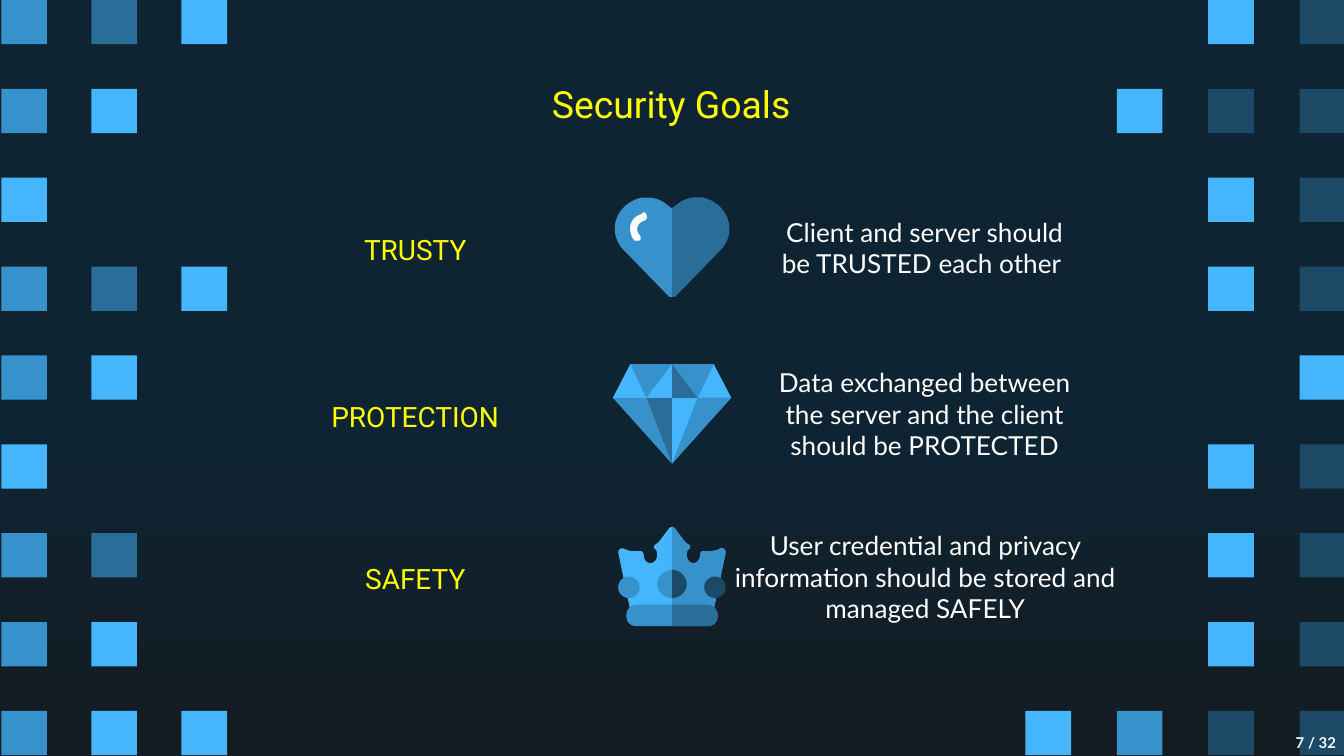
from pptx import Presentation
from pptx.dml.color import RGBColor
from pptx.enum.shapes import MSO_SHAPE as SHAPE
from pptx.enum.text import MSO_ANCHOR as ANCHOR, PP_ALIGN as ALIGN
from pptx.util import Inches, Pt

NAVY = RGBColor(0x0E, 0x24, 0x33)
BLACK = RGBColor(0x14, 0x1C, 0x21)
LIGHT = RGBColor(0x45, 0xB6, 0xFE)
MID = RGBColor(0x37, 0x92, 0xCB)
DEEP = RGBColor(0x29, 0x6D, 0x98)
DARK = RGBColor(0x1C, 0x49, 0x66)
YELLOW = RGBColor(0xFF, 0xFF, 0x00)
WHITE = RGBColor(0xFF, 0xFF, 0xFF)

# Squares at both edges, one letter a square, one string a row
SQUARE_COLORS = {"L": LIGHT, "M": MID, "D": DEEP, "K": DARK}
LEFT_SQUARES = ["MDL", "ML.", "L..", "MDL", "ML.", "L..", "MD.", "ML.", "MLL"]
RIGHT_SQUARES = ["..LK", ".LKK", "..LK", "..LK", "...L", "..LK", "..LK", "..LK", "LMKK"]
ROW_STEP = 5.29 / 8

# Label, its width, description, its left and width, top of the row
GOALS = [
    ("TRUSTY", 2.49, "Client and server should be TRUSTED each other ",
     5.62, 2.52, 1.47),
    ("PROTECTION", 2.56,
     "Data exchanged between the server and the client should be PROTECTED",
     5.62, 2.52, 2.71),
    ("SAFETY", 2.2,
     "User credential and privacy information should be stored and managed SAFELY",
     5.36, 3.05, 3.92),
]

# Outlines: two numbers are a line to a point, six are a Bezier curve.
# The symmetric ones list only the half right of the centre line.
CENTER = 5
HEART_HALF = [
    (5, 1.55), (5.03, 1.53), (5.07, 1.49, 5.13, 1.47, 5.18, 1.47),
    (5.21, 1.47, 5.23, 1.47, 5.26, 1.48), (5.34, 1.51, 5.4, 1.57, 5.42, 1.65),
    (5.44, 1.73, 5.41, 1.81, 5.36, 1.86), (5.02, 2.21),
    (5.01, 2.21, 5.01, 2.21, 5, 2.21),
]
HEART_SHINE = [
    (4.79, 1.58), (4.78, 1.58, 4.78, 1.58, 4.78, 1.59),
    (4.67, 1.62, 4.67, 1.73, 4.72, 1.79), (4.72, 1.79, 4.73, 1.79, 4.74, 1.79),
    (4.74, 1.79, 4.75, 1.79, 4.76, 1.79), (4.77, 1.78, 4.77, 1.76, 4.76, 1.75),
    (4.73, 1.72, 4.73, 1.66, 4.8, 1.64), (4.81, 1.63, 4.82, 1.62, 4.81, 1.6),
    (4.81, 1.59, 4.8, 1.58, 4.79, 1.58),
]
CROWN_HALF = [
    (5, 3.92), (5.01, 3.92, 5.02, 3.93, 5.02, 3.93),
    (5.09, 4.02, 5.09, 4.03, 5.12, 4.05), (5.14, 4.06, 5.14, 4.08, 5.12, 4.09),
    (5.11, 4.1, 5.11, 4.12, 5.11, 4.13), (5.11, 4.16, 5.13, 4.19, 5.16, 4.19),
    (5.19, 4.19, 5.21, 4.16, 5.21, 4.13), (5.21, 4.11, 5.22, 4.1, 5.24, 4.1),
    (5.27, 4.1), (5.3, 4.1, 5.33, 4.1, 5.36, 4.08), (5.37, 4.08),
    (5.39, 4.08, 5.4, 4.1, 5.4, 4.11), (5.31, 4.54), (5, 4.54),
]
JEWEL_HALF = [(5, 4.24), (5.06, 4.24, 5.11, 4.29, 5.11, 4.35),
              (5.11, 4.4, 5.06, 4.45, 5, 4.45)]
BAND_HALF = [(5, 4.5), (5.26, 4.5), (5.31, 4.5, 5.34, 4.54, 5.34, 4.58),
             (5.34, 4.63, 5.31, 4.66, 5.26, 4.66), (5, 4.66)]
# Diamond facets: half outline, colour of the whole, colour of the right half
FACETS = [
    ([(5, 2.71), (5.31, 2.71), (5.44, 2.96), (5, 2.96)], LIGHT, LIGHT),
    ([(5, 2.96), (5.44, 2.96), (5, 3.45)], MID, MID),
    ([(5, 2.96), (5.19, 2.96), (5, 3.45)], DEEP, LIGHT),
    ([(5, 2.71), (5.31, 2.71), (5.19, 2.96), (5, 2.96)], MID, MID),
    ([(5, 2.71), (5.19, 2.96), (5, 2.96)], LIGHT, DEEP),
]


def paint(sp, color):
    sp.fill.solid()
    sp.fill.fore_color.rgb = color
    sp.line.fill.background()
    sp.shadow.inherit = False


def add_preset(shapes, kind, x, y, w, h, color):
    paint(shapes.add_shape(kind, Inches(x), Inches(y), Inches(w), Inches(h)), color)


def flatten(path, steps=8):
    """Turn lines and Bezier curves into a list of points."""
    points = []
    for seg in path:
        if len(seg) == 2:
            points.append(seg)
            continue
        ctrl = [points[-1], seg[:2], seg[2:4], seg[4:]]
        for i in range(1, steps + 1):
            t = i / steps
            weights = [(1 - t) ** 3, 3 * t * (1 - t) ** 2, 3 * t * t * (1 - t), t ** 3]
            points.append(tuple(sum(w * c[k] for w, c in zip(weights, ctrl))
                                for k in (0, 1)))
    return points


def add_outline(shapes, points, color):
    emu = [(Inches(x), Inches(y)) for x, y in points]
    builder = shapes.build_freeform(*emu[0])
    builder.add_line_segments(emu[1:], close=True)
    paint(builder.convert_to_shape(), color)


def add_symmetric(shapes, half, whole_color, half_color):
    """Draw the mirrored whole, then its right half on top."""
    points = flatten(half)
    mirrored = [(2 * CENTER - x, y) for x, y in reversed(points)]
    add_outline(shapes, points + mirrored, whole_color)
    add_outline(shapes, points, half_color)


def set_text(sp, text, size, color, font, align=ALIGN.CENTER,
             anchor=ANCHOR.MIDDLE, bold=False):
    tf = sp.text_frame
    tf.word_wrap = True
    tf.vertical_anchor = anchor
    tf.margin_left = tf.margin_right = tf.margin_top = tf.margin_bottom = Inches(0.1)
    p = tf.paragraphs[0]
    p.text = text
    p.alignment = align
    p.font.size, p.font.name, p.font.bold = Pt(size), font, bold
    p.font.color.rgb = color


def add_text(s, x, y, w, h, *args, **kwargs):
    box = s.shapes.add_textbox(Inches(x), Inches(y), Inches(w), Inches(h))
    set_text(box, *args, **kwargs)


def add_background(s):
    fill = s.background.fill
    fill.gradient()
    fill.gradient_angle = 270
    for stop, pos, color in zip(fill.gradient_stops, (0.56, 1), (NAVY, BLACK)):
        stop.position = pos
        stop.color.rgb = color


def add_squares(s, rows, left, step):
    for r, row in enumerate(rows):
        for c, letter in enumerate(row):
            if letter in SQUARE_COLORS:
                add_preset(s.shapes, SHAPE.RECTANGLE, left + step * c, ROW_STEP * r,
                           0.34, 0.33, SQUARE_COLORS[letter])


def add_icons(s):
    diamond = s.shapes.add_group_shape().shapes
    for facet in FACETS:
        add_symmetric(diamond, *facet)

    crown = s.shapes.add_group_shape().shapes
    add_symmetric(crown, CROWN_HALF, LIGHT, MID)
    add_symmetric(crown, JEWEL_HALF, MID, DARK)
    for x, color in ((4.6, MID), (5.24, DARK)):
        add_preset(crown, SHAPE.OVAL, x, 4.29, 0.16, 0.16, color)
    add_symmetric(crown, BAND_HALF, MID, DEEP)

    heart = s.shapes.add_group_shape().shapes
    add_symmetric(heart, HEART_HALF, MID, DEEP)
    add_outline(heart, flatten(HEART_SHINE), WHITE)


def main():
    prs = Presentation()
    prs.slide_width = Inches(10)
    prs.slide_height = prs.slide_width * 9 // 16
    s = prs.slides.add_slide(prs.slide_layouts[5])
    add_background(s)
    add_squares(s, LEFT_SQUARES, 0.01, 0.67)
    add_squares(s, RIGHT_SQUARES, 7.63, 0.68)

    # Title
    title = s.shapes.title
    title.left, title.top = Inches(0.78), Inches(0.59)
    title.width, title.height = Inches(8.43), Inches(0.36)
    set_text(title, "Security Goals", 20, YELLOW, "Roboto")

    # Goals
    for label, label_w, text, x, w, y in GOALS:
        add_text(s, 3.09 - label_w / 2, y + 0.16, label_w, 0.42,
                 label, 15, YELLOW, "Roboto", anchor=ANCHOR.TOP)
        add_text(s, x, y, w, 0.74, text, 14, WHITE, "Lato")
    add_icons(s)

    # Page number
    add_text(s, 9.44, 5.39, 0.6, 0.43, "7 / 32", 8, WHITE, "Lato",
             align=ALIGN.RIGHT, anchor=ANCHOR.TOP, bold=True)
    prs.save("out.pptx")


if __name__ == "__main__":
    main()
